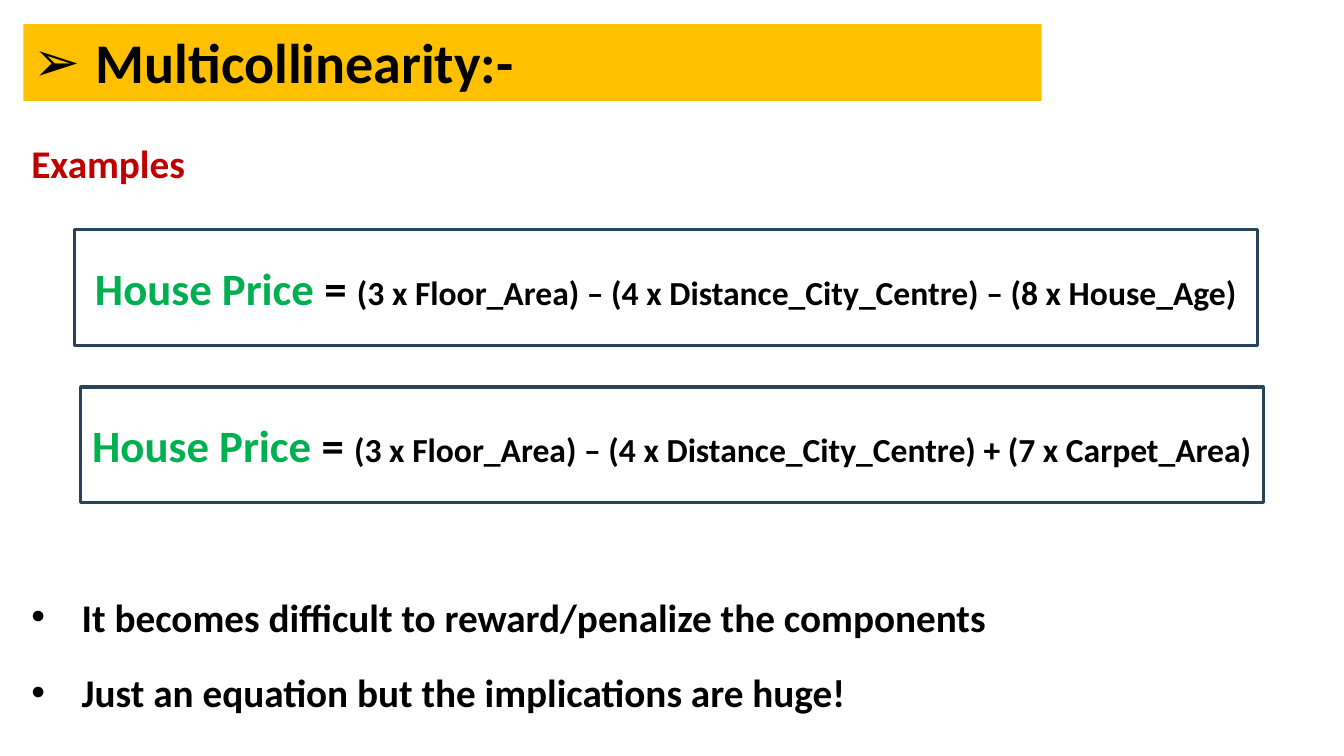
from lxml import etree
from pptx import Presentation, util as u
from pptx.dml.color import RGBColor
from pptx.enum import shapes, text
from pptx.oxml import ns

BLACK = RGBColor(0x00, 0x00, 0x00)
WHITE = RGBColor(0xFF, 0xFF, 0xFF)
RED = RGBColor(0xC0, 0x00, 0x00)
GREEN = RGBColor(0x00, 0xB0, 0x50)
AMBER = RGBColor(0xFF, 0xC0, 0x00)
NAVY = RGBColor(0x28, 0x44, 0x5D)


def add_run(paragraph, words, size=28, color=BLACK, bold=True, font="Calibri"):
    run = paragraph.add_run()
    run.text = words
    run.font.name = font
    run.font.size = u.Pt(size)
    run.font.bold = bold
    run.font.color.rgb = color


def add_bullet(paragraph, symbol, indent):
    properties = paragraph._p.get_or_add_pPr()
    properties.set("marL", str(u.Inches(indent)))
    properties.set("indent", str(-u.Inches(indent)))
    etree.SubElement(properties, ns.qn("a:buFont"), typeface="Arial")
    etree.SubElement(properties, ns.qn("a:buChar"), char=symbol)


class SlideBuilder:
    """Holds the slide and places elements on a grid of 100 columns by 100 rows."""

    def __init__(self, presentation):
        self.column = presentation.slide_width / 100
        self.row = presentation.slide_height / 100
        self.slide = presentation.slides.add_slide(presentation.slide_layouts[0])

    def grid(self, left, top, width, height):
        return (round(left * self.column), round(top * self.row),
                round(width * self.column), round(height * self.row))

    def prepare(self, shape, box, fill, anchor):
        shape.left, shape.top, shape.width, shape.height = self.grid(*box)
        shape.fill.solid()
        shape.fill.fore_color.rgb = fill
        frame = shape.text_frame
        frame.word_wrap = True
        frame.auto_size = text.MSO_AUTO_SIZE.NONE
        frame.vertical_anchor = anchor
        return frame

    def title(self, words, box):
        frame = self.prepare(self.slide.shapes.title, box, AMBER, text.MSO_ANCHOR.BOTTOM)
        paragraph = frame.paragraphs[0]
        paragraph.alignment = text.PP_ALIGN.LEFT
        paragraph.line_spacing = 0.9
        add_bullet(paragraph, "➢", 0.62)
        add_run(paragraph, words, size=40)

    def body(self, heading, points, box, gap):
        frame = self.prepare(self.slide.placeholders[1], box, WHITE, text.MSO_ANCHOR.TOP)
        for index, words in enumerate([heading, *points]):
            paragraph = frame.paragraphs[0] if index == 0 else frame.add_paragraph()
            paragraph.alignment = text.PP_ALIGN.LEFT
            paragraph.line_spacing = 1.07
            paragraph.space_before = u.Pt(gap if index == 1 else 10)
            paragraph.space_after = u.Pt(8)
            if index:
                add_bullet(paragraph, "•", 0.5)
            add_run(paragraph, words, color=BLACK if index else RED)

    def equation(self, result, formula, box):
        shape = self.slide.shapes.add_shape(shapes.MSO_SHAPE.RECTANGLE, *self.grid(*box))
        shape.shadow.inherit = False
        frame = self.prepare(shape, box, WHITE, text.MSO_ANCHOR.MIDDLE)
        shape.fill.background()
        shape.line.color.rgb = NAVY
        shape.line.width = u.Pt(2.25)
        paragraph = frame.paragraphs[0]
        paragraph.alignment = text.PP_ALIGN.CENTER
        add_run(paragraph, result + " ", size=32, color=GREEN)
        add_run(paragraph, "= ", size=32)
        add_run(paragraph, formula, size=24)


def main():
    presentation = Presentation()
    presentation.slide_width = u.Inches(13.33)
    presentation.slide_height = u.Inches(7.5)
    builder = SlideBuilder(presentation)
    builder.title("Multicollinearity:-", (1.73, 3.2, 75.77, 10.13))
    builder.body(
        "Examples",
        ["It becomes difficult to reward/penalize the components",
         "Just an equation but the implications are huge!"],
        (1.58, 17.33, 96.85, 79.33), gap=280)
    equations = [
        (5.55, 30.4, "(3 x Floor_Area) – (4 x Distance_City_Centre) – (8 x House_Age)"),
        (6, 51.2, "(3 x Floor_Area) – (4 x Distance_City_Centre) + (7 x Carpet_Area)"),
    ]
    for left, top, formula in equations:
        builder.equation("House Price", formula, (left, top, 88, 15.33))
    presentation.save("out.pptx")


if __name__ == "__main__":
    main()
